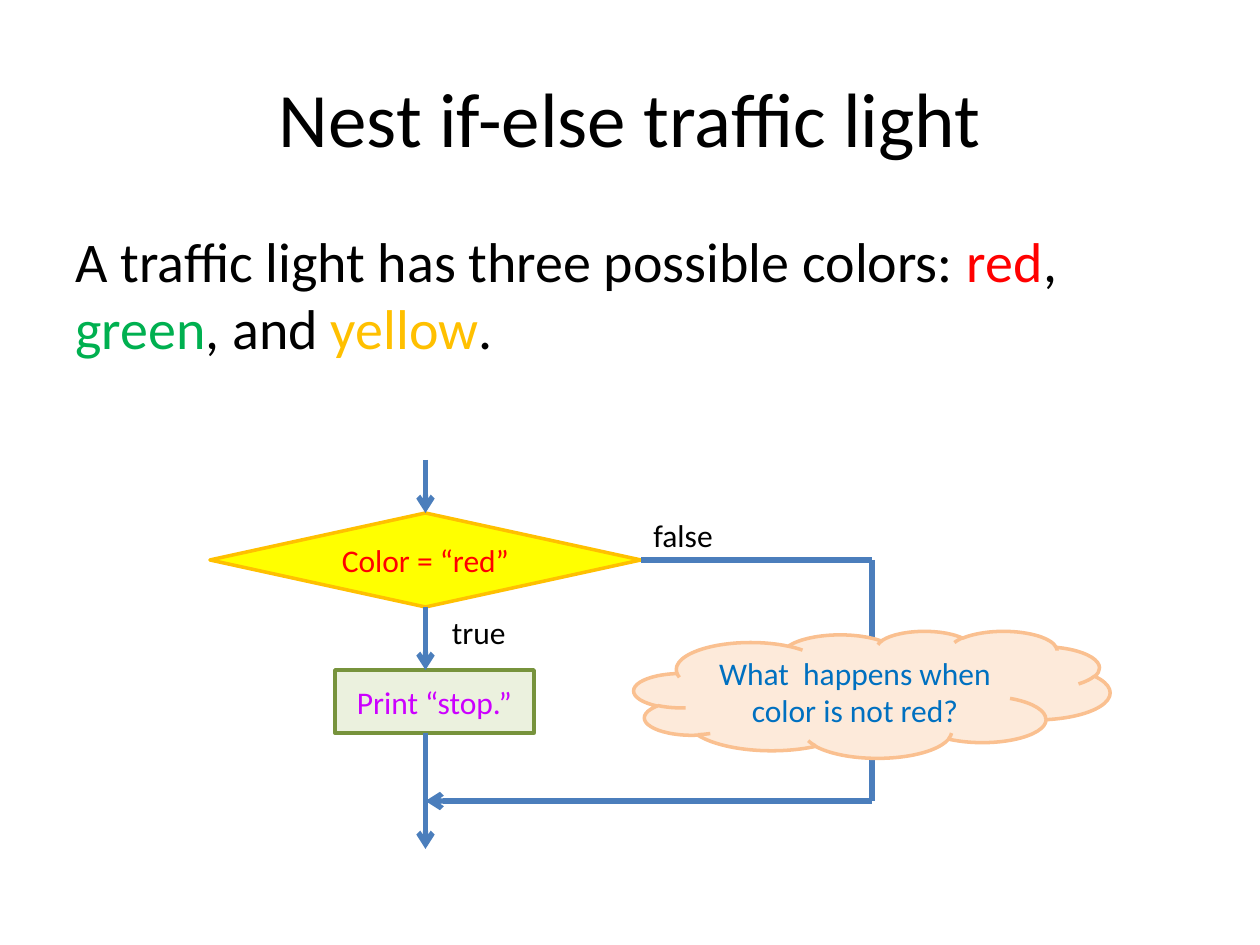
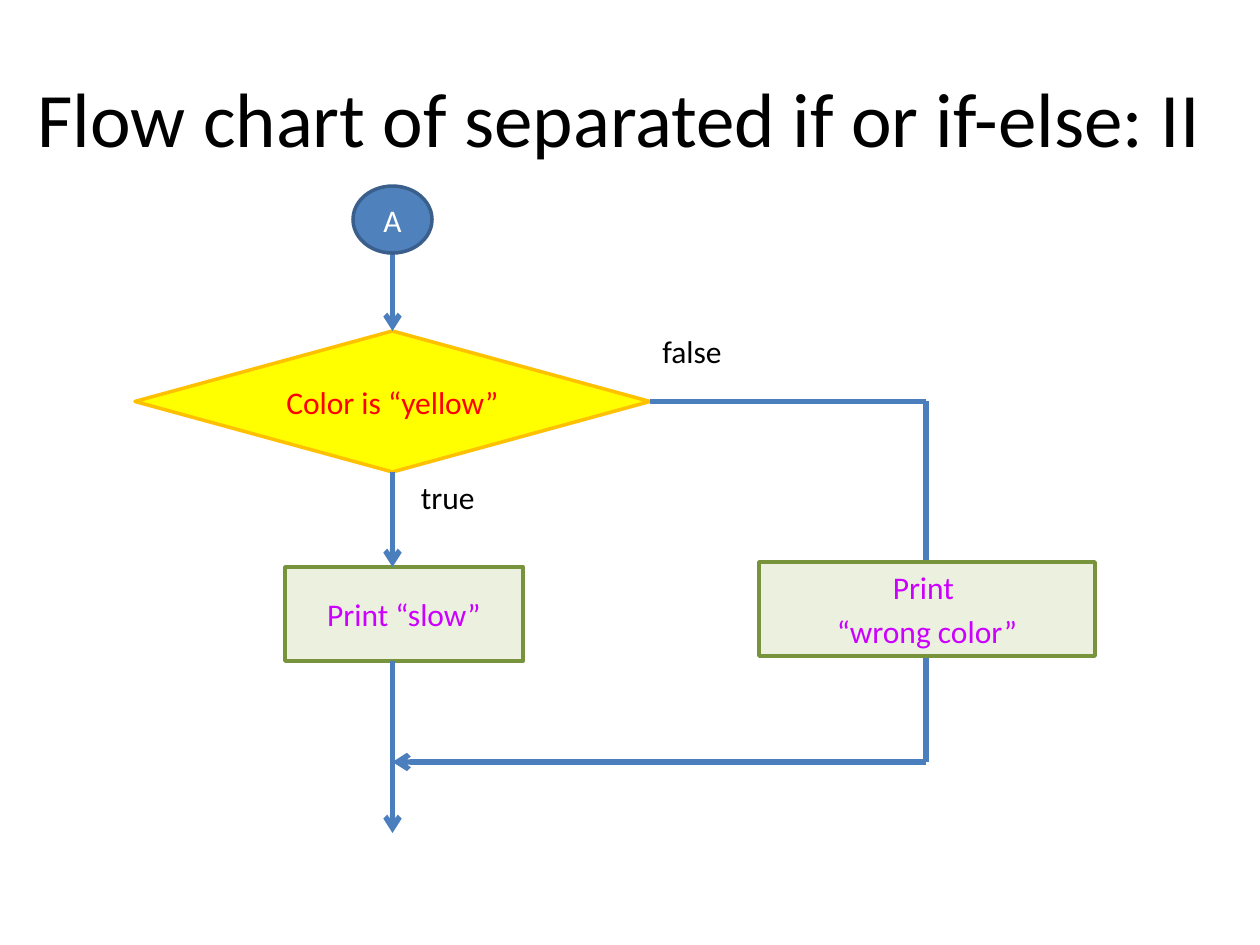
"""Build two slides with flow charts of traffic light decisions."""
from lxml import etree
from pptx import Presentation
from pptx.dml.color import RGBColor
from pptx.enum.shapes import MSO_CONNECTOR, MSO_SHAPE as SHAPE
from pptx.enum.text import MSO_ANCHOR as ANCHOR, PP_ALIGN as ALIGN
from pptx.oxml.ns import qn
from pptx.util import Emu, Pt

SCALE = 914400 / 126
FONT = "Calibri"
BLACK, ARROW_BLUE = "000000", "4B7EBC"

STYLES = {
    "decision": (SHAPE.FLOWCHART_DECISION, "FFFF00", "FFC000", "FF0000"),
    "process": (SHAPE.FLOWCHART_PROCESS, "EBF1DE", "77933C", "CC00FF"),
    "cloud": (SHAPE.CLOUD, "FDEADA", "FAC090", "0070C0"),
    "connector": (SHAPE.OVAL, "4F81BD", "3A5F8C", "FFFFFF"),
}

INTRO = [
    ("A traffic light has three possible colors: ", BLACK),
    ("red", "FF0000"), (", ", BLACK),
    ("green", "00B050"), (", and ", BLACK),
    ("yellow", "FFC000"), (".", BLACK),
]
INTRO_BOX = (63, 220, 1134, 149)

SLIDES = [
    {
        "title": "Nest if-else traffic light", "title_box": (63, 38, 1134, 157),
        "intro": INTRO,
        "decision": ("Color = “red”", (210, 513, 431, 94)),
        "process": ("Print “stop.”", (335, 670, 199, 63)),
        "start": 460, "merge": 801, "end": 849, "branch": 872,
        "true_label": (14, 189, 50), "false_label": (95, 50),
        "extras": [("cloud", ["What  happens when color is not red?"], (634, 631, 476, 127), 0)],
    },
    {
        "title": "Flow chart of separated if or if-else: II", "title_box": (21, 38, 1197, 157),
        "intro": [],
        "decision": ("Color is “yellow”", (135, 331, 515, 141)),
        "process": ("Print “slow”", (285, 567, 238, 94)),
        "start": 253, "merge": 762, "end": 833, "branch": 926,
        "true_label": (16, 225, 75), "false_label": (113, 76),
        "extras": [
            ("process", ["Print ", "“wrong color”"], (759, 562, 336, 94), 3.6),
            ("connector", ["A"], (353, 186, 79, 67), 0),
        ],
    },
]


def px(*lengths):
    return [Emu(round(length * SCALE)) for length in lengths]


def rgb(code):
    return RGBColor.from_string(code)


def write(frame, paragraphs, size, color, align, anchor, before=0):
    frame.word_wrap = True
    frame.vertical_anchor = anchor
    for index, words in enumerate(paragraphs):
        line = frame.paragraphs[0] if index == 0 else frame.add_paragraph()
        line.alignment = align
        line.space_before = Pt(before)
        line.font.name, line.font.size = FONT, Pt(size)
        if isinstance(words, str):
            line.font.color.rgb = rgb(color)
            line.add_run().text = words
            continue
        for word, word_color in words:
            run = line.add_run()
            run.text = word
            run.font.color.rgb = rgb(word_color)


def add_text(slide, box, paragraphs, size=18, align=ALIGN.LEFT, anchor=ANCHOR.TOP, before=0):
    frame = slide.shapes.add_textbox(*px(*box)).text_frame
    write(frame, paragraphs, size, BLACK, align, anchor, before)


def add_node(slide, style, paragraphs, box, before=0):
    preset, fill, outline, ink = STYLES[style]
    node = slide.shapes.add_shape(preset, *px(*box))
    node.shadow.inherit = False
    node.fill.solid()
    node.fill.fore_color.rgb = rgb(fill)
    node.line.color.rgb = rgb(outline)
    node.line.width = Pt(2)
    write(node.text_frame, paragraphs, 18, ink, ALIGN.CENTER, ANCHOR.MIDDLE, before)


def add_flow(slide, begin, end, arrow):
    flow = slide.shapes.add_connector(MSO_CONNECTOR.STRAIGHT, *px(*begin, *end))
    flow.line.color.rgb = rgb(ARROW_BLUE)
    flow.line.width = Pt(3)
    if arrow:
        etree.SubElement(flow.line._get_or_add_ln(), qn("a:tailEnd"), type="arrow")
    etree.SubElement(flow._element.spPr, qn("a:effectLst"))


def add_chart_flow(slide, chart):
    question, decision_box = chart["decision"]
    action, process_box = chart["process"]
    left, top, width, height = decision_box
    axis, middle = left + width / 2, top + height / 2
    right, bottom = left + width, top + height
    process_top = process_box[1]
    process_bottom = process_top + process_box[3]
    branch, merge = chart["branch"], chart["merge"]

    add_node(slide, "decision", [question], decision_box)
    add_node(slide, "process", [action], process_box)
    for begin, end, arrow in [
        ((axis, chart["start"]), (axis, top), True),
        ((axis, bottom), (axis, process_top), True),
        ((axis, process_bottom), (axis, chart["end"]), True),
        ((right, middle), (branch, middle), False),
        ((branch, middle), (branch, merge), False),
        ((branch, merge), (axis, merge), True),
    ]:
        add_flow(slide, begin, end, arrow)

    gap, true_width, true_height = chart["true_label"]
    false_width, false_height = chart["false_label"]
    add_text(slide, (axis + gap, bottom, true_width, true_height), ["true"])
    add_text(slide, (right, middle - false_height, false_width, false_height), ["false"])


deck = Presentation()
deck.slide_width, deck.slide_height = px(1260, 945)
for chart in SLIDES:
    slide = deck.slides.add_slide(deck.slide_layouts[6])
    add_text(slide, chart["title_box"], [chart["title"]], 44, ALIGN.CENTER, ANCHOR.MIDDLE)
    if chart["intro"]:
        add_text(slide, INTRO_BOX, [chart["intro"]], 32, before=6.4)
    add_chart_flow(slide, chart)
    for extra in chart["extras"]:
        add_node(slide, *extra)
deck.save("out.pptx")
